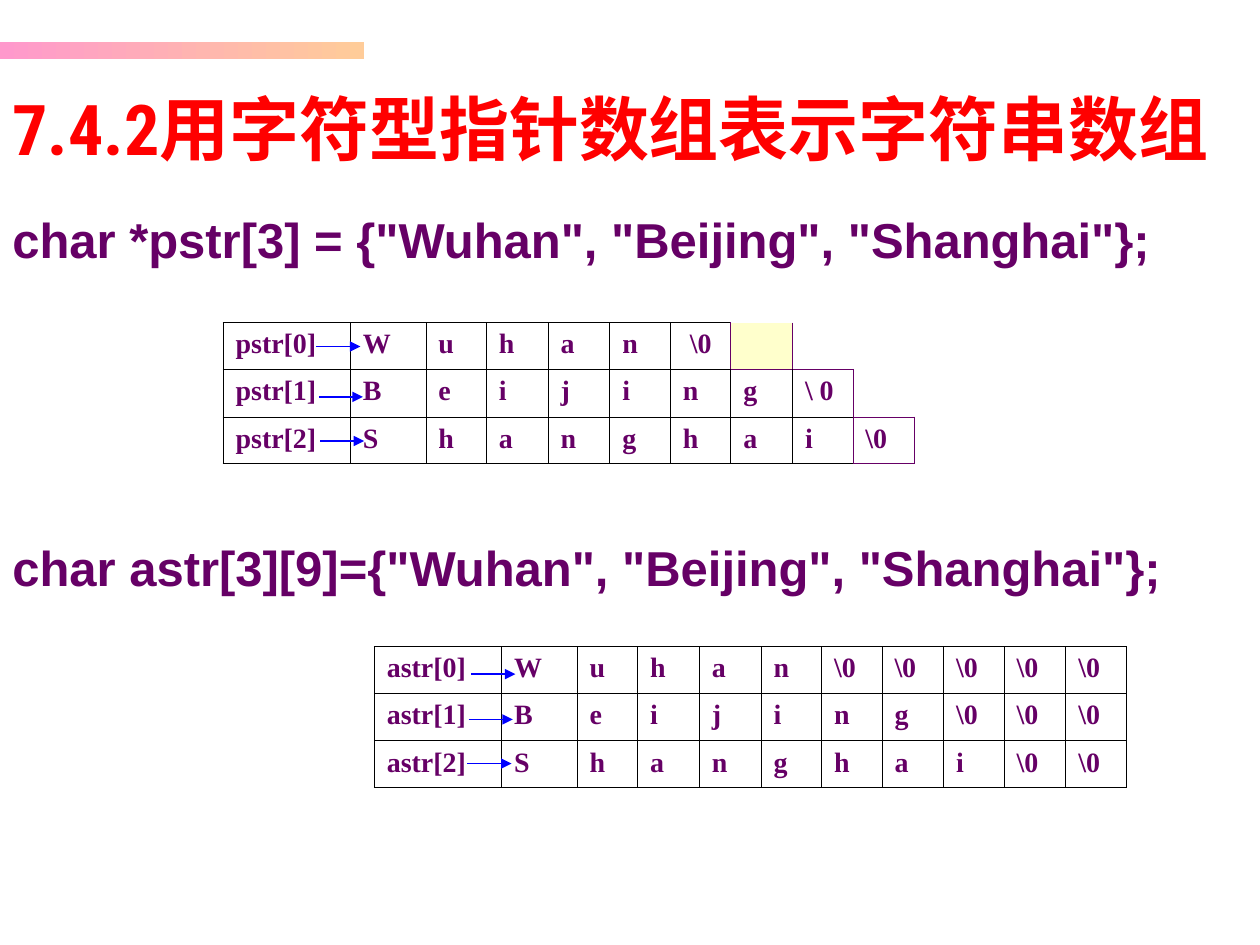
import pptx
import pptx.dml.color
import pptx.enum.dml
import pptx.enum.lang
import pptx.enum.shapes
import pptx.enum.text
import pptx.oxml
import pptx.oxml.ns
import pptx.util

Inches, Pt = pptx.util.Inches, pptx.util.Pt
MIDDLE = pptx.enum.text.MSO_ANCHOR.MIDDLE
NS = pptx.oxml.ns.nsdecls("a")

TITLE = "7.4.2用字符型指针数组表示字符串数组"
DECLARATIONS = [
    (1.6, 9.3, 'char *pstr[3] = {"Wuhan", "Beijing", "Shanghai"};'),
    (4.2, 9.72, 'char astr[3][9]={"Wuhan", "Beijing", "Shanghai"};'),
]
PURPLE, BLACK, BLUE, RED = "660066", "000000", "0000FF", "FF0000"
COLS = [1.01, 0.6, 0.48, 0.49, 0.49, 0.48, 0.48, 0.49, 0.48, 0.49, 0.48]
ROWS = [0.37, 0.38, 0.37]
NUL = "\\0"
TABLES = [
    dict(
        at=(1.77, 2.56),
        rows=[
            ["pstr[0]", *"Wuhan", " \\0", "", "", ""],
            ["pstr[1]", *"Beijing", "\\ 0", ""],
            ["pstr[2]", *"Shanghai", NUL],
        ],
        purple_edges={
            (0, 6): "R", (0, 7): "LB", (0, 8): "B",
            (1, 7): "T", (1, 8): "TR", (1, 9): "LB",
            (2, 8): "R", (2, 9): "LTRB",
        },
        fills={(0, 7): "FFFFCC"},
    ),
    dict(
        at=(2.97, 5.13),
        rows=[
            ["astr[0]", *"Wuhan", *[NUL] * 5],
            ["astr[1]", *"Beijing", *[NUL] * 3],
            ["astr[2]", *"Shanghai", *[NUL] * 2],
        ],
        purple_edges={},
        fills={},
    ),
]
ARROW_LENGTH = 0.35
ARROWS = [(2.51, 2.75), (2.53, 3.15), (2.54, 3.5),
          (3.74, 5.35), (3.72, 5.71), (3.71, 6.06)]


def rgb(color):
    return pptx.dml.color.RGBColor.from_string(color)


def style(p, size, name, color):
    p.font.size, p.font.name, p.font.bold = Pt(size), name, True
    p.font.color.rgb = rgb(color)


def add_bar(s):
    sp = s.shapes.add_shape(pptx.enum.shapes.MSO_SHAPE.RECTANGLE,
                            0, Inches(0.33), Inches(2.89), Inches(0.14))
    sp.shadow.inherit = False
    sp.line.fill.background()
    sp.fill.gradient()
    sp.fill.gradient_angle = 0
    for stop, color in zip(sp.fill.gradient_stops, ("FF99CC", "FFCC99")):
        stop.color.rgb = rgb(color)


def add_title(s):
    sp = s.shapes.title
    sp.left, sp.top, sp.width, sp.height = 0, Inches(0.56), Inches(10), Inches(0.9)
    tf = sp.text_frame
    tf.text = TITLE
    tf.auto_size = pptx.enum.text.MSO_AUTO_SIZE.NONE
    tf.vertical_anchor = MIDDLE
    p = tf.paragraphs[0]
    p.alignment = pptx.enum.text.PP_ALIGN.LEFT
    style(p, 40, "Roboto Condensed", RED)
    p.runs[0].font.language_id = pptx.enum.lang.MSO_LANGUAGE_ID.SIMPLIFIED_CHINESE


def add_declaration(s, top, width, text):
    tf = s.shapes.add_textbox(0, Inches(top), Inches(width), Inches(0.6)).text_frame
    tf.word_wrap = True
    tf.vertical_anchor = MIDDLE
    tf.text = text
    style(tf.paragraphs[0], 28, "Arial", PURPLE)


def set_borders(cell, edges, purple):
    for edge in edges:
        color = PURPLE if edge in purple else BLACK
        cell._tc.get_or_add_tcPr().append(pptx.oxml.parse_xml(
            f'<a:ln{edge} {NS} w="{Pt(0.45)}"><a:solidFill>'
            f'<a:srgbClr val="{color}"/></a:solidFill></a:ln{edge}>'))


def add_string_table(s, at, rows, purple_edges, fills):
    cols = COLS[:len(rows[0])]
    table = s.shapes.add_table(len(rows), len(cols), Inches(at[0]), Inches(at[1]),
                               Inches(sum(cols)), Inches(sum(ROWS))).table
    table.first_row = table.horz_banding = False
    style_id = table._tbl.tblPr.find(pptx.oxml.ns.qn("a:tableStyleId"))
    style_id.text = "{2D5ABB26-0587-4C30-8999-92F81FD0307C}"
    for column, width in zip(table.columns, cols):
        column.width = Inches(width)
    for row, height in zip(table.rows, ROWS):
        row.height = Inches(height)
    for i, row in enumerate(rows):
        for j, text in enumerate(row):
            cell = table.cell(i, j)
            purple = purple_edges.get((i, j), "")
            set_borders(cell, "LRTB" if text else purple, purple)
            if (i, j) in fills:
                cell.fill.solid()
                cell.fill.fore_color.rgb = rgb(fills[i, j])
            else:
                cell.fill.background()
            if text:
                cell.text = text
            else:
                cell.margin_top = cell.margin_bottom = 0
            style(cell.text_frame.paragraphs[0], 16, "Times New Roman", PURPLE)


def add_arrow(s, x, y):
    line = s.shapes.add_connector(pptx.enum.shapes.MSO_CONNECTOR.STRAIGHT, Inches(x),
                                  Inches(y), Inches(x + ARROW_LENGTH), Inches(y))
    line.line.color.rgb = rgb(BLUE)
    line.line.width = Pt(0.75)
    line.line._get_or_add_ln().append(
        pptx.oxml.parse_xml(f'<a:tailEnd {NS} type="triangle"/>'))
    line._element.spPr.append(pptx.oxml.parse_xml(f"<a:effectLst {NS}/>"))


def main():
    prs = pptx.Presentation()
    prs.slide_width, prs.slide_height = Inches(10), Inches(7.5)
    s = prs.slides.add_slide(prs.slide_layouts[5])
    add_bar(s)
    add_title(s)
    for declaration in DECLARATIONS:
        add_declaration(s, *declaration)
    for table in TABLES:
        add_string_table(s, **table)
    for x, y in ARROWS:
        add_arrow(s, x, y)
    prs.save("out.pptx")


if __name__ == "__main__":
    main()
